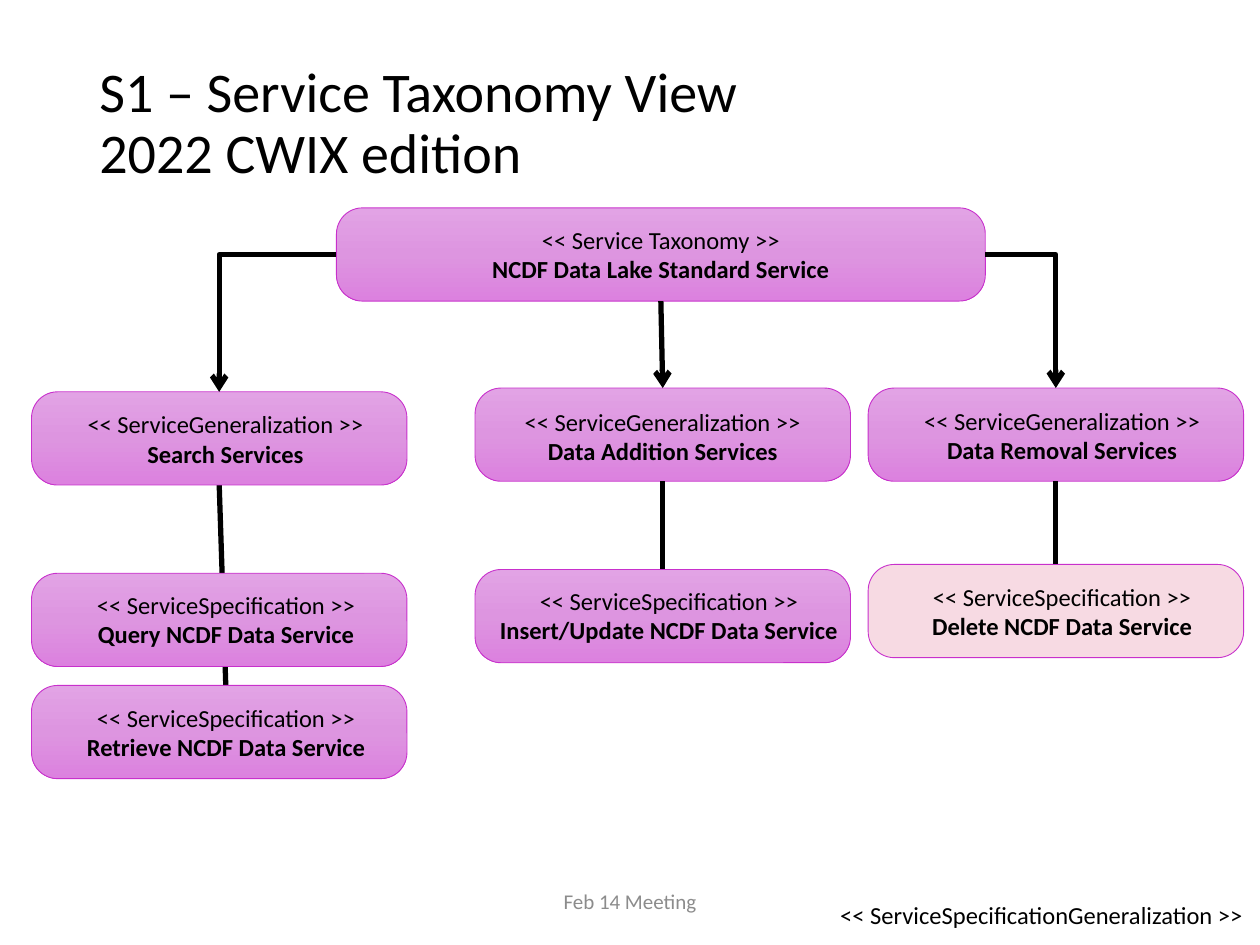
import copy

import pptx
import pptx.dml.color
import pptx.enum.shapes
import pptx.enum.text
import pptx.oxml
import pptx.oxml.ns
import pptx.util

PX = 9144  # 100 px to the inch
COLORS = {
    "text": "000000", "wire": "000000", "muted": "8C8C8C", "edge": "C830CC",
    "top": "E2A3E5", "mid": "DD95E0", "low": "DC81DF", "pale": "F7DAE3",
}
TOP, LEFT, BOTTOM, RIGHT = range(4)
KIND = pptx.enum.shapes.MSO_CONNECTOR
FORM = pptx.enum.shapes.MSO_SHAPE
ALIGN = pptx.enum.text.PP_ALIGN
MIDDLE = pptx.enum.text.MSO_ANCHOR.MIDDLE
qn = pptx.oxml.ns.qn


def color(name):
    return pptx.dml.color.RGBColor.from_string(COLORS[name])


class Board:
    font = "Calibri"
    size = 14
    wire = 3

    def __init__(self, slide):
        self.slide = slide
        self.shapes = slide.shapes

    def run(self, para, text, size=None, bold=False, ink="text"):
        run = para.add_run()
        run.text = text
        run.font.name = self.font
        run.font.size = pptx.util.Pt(size or self.size)
        run.font.bold = bold
        run.font.color.rgb = color(ink)

    def pair(self, frame, kind, name):
        """Write a stereotype line with a bold name below it."""
        head = frame.paragraphs[0]
        for para, text, bold in ((head, f"<< {kind} >>", False),
                                 (frame.add_paragraph(), name, True)):
            para.alignment = ALIGN.CENTER
            self.run(para, text, bold=bold)

    def text(self, x, y, w, h, wrap=False):
        box = self.shapes.add_textbox(x * PX, y * PX, w * PX, h * PX)
        frame = box.text_frame
        frame.word_wrap = wrap
        if wrap:
            frame.vertical_anchor = MIDDLE
        else:
            frame.auto_size = pptx.enum.text.MSO_AUTO_SIZE.SHAPE_TO_FIT_TEXT
        return box

    def shade(self, fill):
        """Fill with three colour stops, from top to bottom."""
        fill.gradient()
        fill.gradient_angle = 270
        first = fill._xPr.find(".//" + qn("a:gs"))
        first.addnext(copy.deepcopy(first))
        for stop, name, spot in zip(fill.gradient_stops,
                                    ("top", "mid", "low"), (0, 0.5, 1)):
            stop.color.rgb = color(name)
            stop.position = spot

    def box(self, x, y, w=298, h=74, pale=False):
        box = self.shapes.add_shape(FORM.ROUNDED_RECTANGLE,
                                    x * PX, y * PX, w * PX, h * PX)
        box.adjustments[0] = 0.28
        box.shadow.inherit = False
        if pale:
            box.fill.solid()
            box.fill.fore_color.rgb = color("pale")
        else:
            self.shade(box.fill)
        box.line.color.rgb = color("edge")
        box.line.width = pptx.util.Pt(0.5)
        return box

    def card(self, x, y, kind, name, text, pale=False):
        """Draw a box with a label; text is the label's left, top and width."""
        box = self.box(x, y, pale=pale)
        left, top, wide = text
        label = self.text(left, top, wide, 57)
        if pale:
            label.fill.solid()
            label.fill.fore_color.rgb = color("pale")
        self.pair(label.text_frame, kind, name)
        return box, label

    def link(self, start, out, end, into=TOP, arrow=False, bent=False):
        line = self.shapes.add_connector(
            KIND.ELBOW if bent else KIND.STRAIGHT, 0, 0, 0, 0)
        line.begin_connect(start, out)
        line.end_connect(end, into)
        line.line.color.rgb = color("wire")
        line.line.width = pptx.util.Pt(self.wire)
        props = line._element.spPr
        if bent:
            props.find(qn("a:prstGeom")).set("prst", "bentConnector2")
        if arrow:
            tail = pptx.oxml.parse_xml(
                f'<a:tailEnd {pptx.oxml.ns.nsdecls("a")} type="arrow"/>')
            props.find(qn("a:ln")).append(tail)
        props.append(props.makeelement(qn("a:effectLst"), {}))
        return line


def main():
    deck = pptx.Presentation()
    deck.slide_width, deck.slide_height = 1000 * PX, 750 * PX
    board = Board(deck.slides.add_slide(deck.slide_layouts[6]))

    # Title
    para = board.text(69, 40, 862, 118, wrap=True).text_frame.paragraphs[0]
    para.line_spacing = 0.9
    board.run(para, "S1 – Service Taxonomy View", 32)
    para.add_line_break()
    board.run(para, "2022 CWIX edition", 32)

    # Root of the taxonomy
    root = board.box(267, 165, w=515)
    root.text_frame.vertical_anchor = MIDDLE
    root.text_frame.word_wrap = True
    board.pair(root.text_frame, "Service Taxonomy",
               "NCDF Data Lake Standard Service")

    # Service groups
    group, leaf = "ServiceGeneralization", "ServiceSpecification"
    search, _ = board.card(25, 311, group, "Search Services", (58, 320, 242))
    add, _ = board.card(377, 308, group, "Data Addition Services",
                        (405, 318, 242))
    remove, _ = board.card(689, 308, group, "Data Removal Services",
                           (722, 317, 242))

    # Single services
    board.card(25, 455, leaf, "Query NCDF Data Service", (66, 463, 227))
    _, fetch = board.card(25, 544, leaf, "Retrieve NCDF Data Service",
                          (58, 553, 243))
    insert, _ = board.card(377, 452, leaf, "Insert/Update NCDF Data Service",
                           (386, 460, 290))
    delete, _ = board.card(689, 448, leaf, "Delete NCDF Data Service",
                           (729, 457, 228), pale=True)

    # Links; the search line runs behind its boxes
    board.link(root, LEFT, search, arrow=True, bent=True)
    board.link(root, BOTTOM, add, arrow=True)
    board.link(root, RIGHT, remove, arrow=True, bent=True)
    board.link(add, BOTTOM, insert)
    board.link(remove, BOTTOM, delete)
    spine = board.link(search, BOTTOM, fetch)
    board.shapes._spTree.insert(2, spine._element)

    # Footer and loose label
    para = board.text(331, 695, 338, 40, wrap=True).text_frame.paragraphs[0]
    para.alignment = ALIGN.CENTER
    board.run(para, "Feb 14 Meeting", 12, ink="muted")
    para = board.text(657, 709, 343, 34).text_frame.paragraphs[0]
    board.run(para, "<< ServiceSpecificationGeneralization >>")

    deck.save("out.pptx")


if __name__ == "__main__":
    main()
